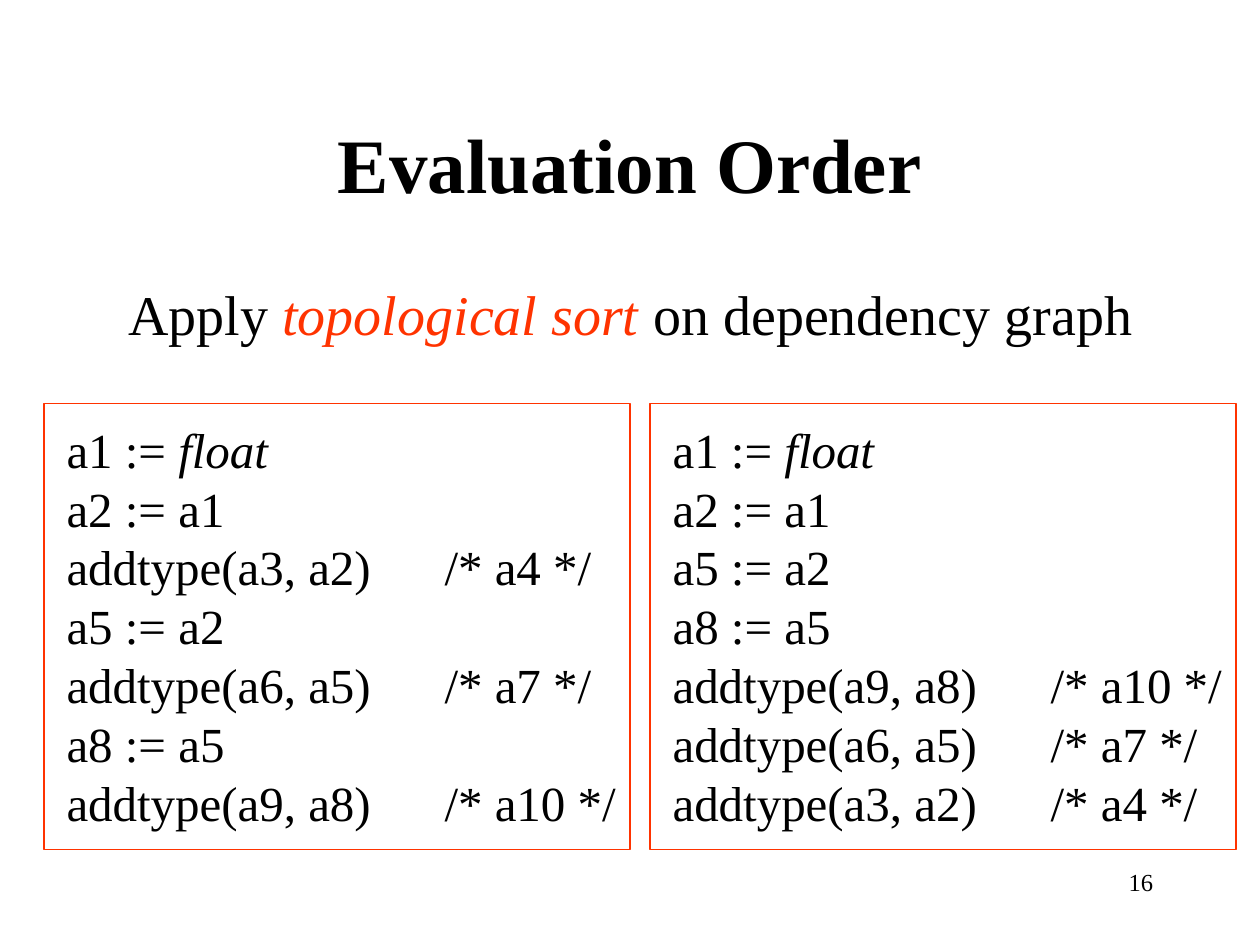
import pptx
import pptx.dml.color
import pptx.enum.shapes
import pptx.enum.text
import pptx.oxml
import pptx.oxml.ns
import pptx.util
from pptx.util import Inches

FONT = "Times New Roman"
BLACK, RED = "000000", "FF3300"

TITLE = "Evaluation Order"
# Lines are lists of (text, italic, colour) spans.
INTRO = [[("Apply ", False, BLACK), ("topological sort", True, RED),
          (" on dependency graph", False, BLACK)]]
FIRST = [("a1 := ", False, BLACK), ("float", True, BLACK)]
ORDERS = [
    ["a2 := a1", "addtype(a3, a2)\t/* a4 */", "a5 := a2",
     "addtype(a6, a5)\t/* a7 */", "a8 := a5", "addtype(a9, a8)\t/* a10 */"],
    ["a2 := a1", "a5 := a2", "a8 := a5", "addtype(a9, a8)\t/* a10 */",
     "addtype(a6, a5)\t/* a7 */", "addtype(a3, a2)\t/* a4 */"],
]
PAGE_NUMBER = [[("16", False, BLACK)]]

FRAME_LEFT, FRAME_TOP, FRAME_WIDTH, FRAME_HEIGHT = 0.35, 3.2, 4.65, 3.54
FRAME_STEP = 4.81
COMMENT_TAB = 3


def rgb(colour):
    return pptx.dml.color.RGBColor.from_string(colour)


def style(span, size, colour=BLACK, bold=False, italic=False):
    font = span.font
    font.name, font.size = FONT, pptx.util.Pt(size)
    font.bold, font.italic = bold, italic
    font.color.rgb = rgb(colour)


def add_tab_stop(para, inches):
    properties = para._p.get_or_add_pPr()
    tabs = pptx.oxml.parse_xml(
        f'<a:tabLst {pptx.oxml.ns.nsdecls("a")}>'
        f'<a:tab pos="{Inches(inches)}" algn="l"/></a:tabLst>')
    properties.append(tabs)


def add_text(page, lines, place, size, wrap=False):
    box = page.shapes.add_textbox(*map(Inches, place))
    frame = box.text_frame
    frame.word_wrap = wrap
    if not wrap:
        frame.auto_size = pptx.enum.text.MSO_AUTO_SIZE.SHAPE_TO_FIT_TEXT
    for index, line in enumerate(lines):
        para = frame.paragraphs[0] if index == 0 else frame.add_paragraph()
        for text, italic, colour in line:
            span = para.add_run()
            span.text = text
            style(span, size, colour, italic=italic)
    return frame


def add_title(page):
    title = page.shapes.title
    title.left, title.top = Inches(0.75), Inches(0.67)
    title.width, title.height = Inches(8.5), Inches(1.25)
    frame = title.text_frame
    frame.text = TITLE
    frame.vertical_anchor = pptx.enum.text.MSO_ANCHOR.MIDDLE
    para = frame.paragraphs[0]
    para.alignment = pptx.enum.text.PP_ALIGN.CENTER
    style(para.runs[0], 44, bold=True)


def add_order(page, statements, left):
    lines = [FIRST] + [[(text, False, BLACK)] for text in statements]
    frame = add_text(page, lines, (left + 0.08, 3.28, 4.56, 3.37), 28)
    for para in frame.paragraphs:
        para.line_spacing = pptx.util.Pt(33.6)
        if "\t" in para.text:
            add_tab_stop(para, COMMENT_TAB)


def add_frame(page, left):
    frame = page.shapes.add_shape(
        pptx.enum.shapes.MSO_SHAPE.RECTANGLE, Inches(left), Inches(FRAME_TOP),
        Inches(FRAME_WIDTH), Inches(FRAME_HEIGHT))
    frame.shadow.inherit = False
    frame.fill.background()
    frame.line.color.rgb = rgb(RED)
    frame.line.width = pptx.util.Pt(0.75)


def main():
    deck = pptx.Presentation()
    deck.slide_width, deck.slide_height = Inches(10), Inches(7.5)
    page = deck.slides.add_slide(deck.slide_layouts[5])
    add_title(page)
    add_text(page, INTRO, (0.92, 2.17, 8.17, 0.64), 32)
    lefts = [FRAME_LEFT + FRAME_STEP * column for column in range(len(ORDERS))]
    for statements, left in zip(ORDERS, lefts):
        add_order(page, statements, left)
    for left in lefts:
        add_frame(page, left)
    number = add_text(page, PAGE_NUMBER, (7.17, 6.83, 2.08, 0.5), 14, wrap=True)
    number.paragraphs[0].alignment = pptx.enum.text.PP_ALIGN.RIGHT
    deck.save("out.pptx")


if __name__ == "__main__":
    main()
